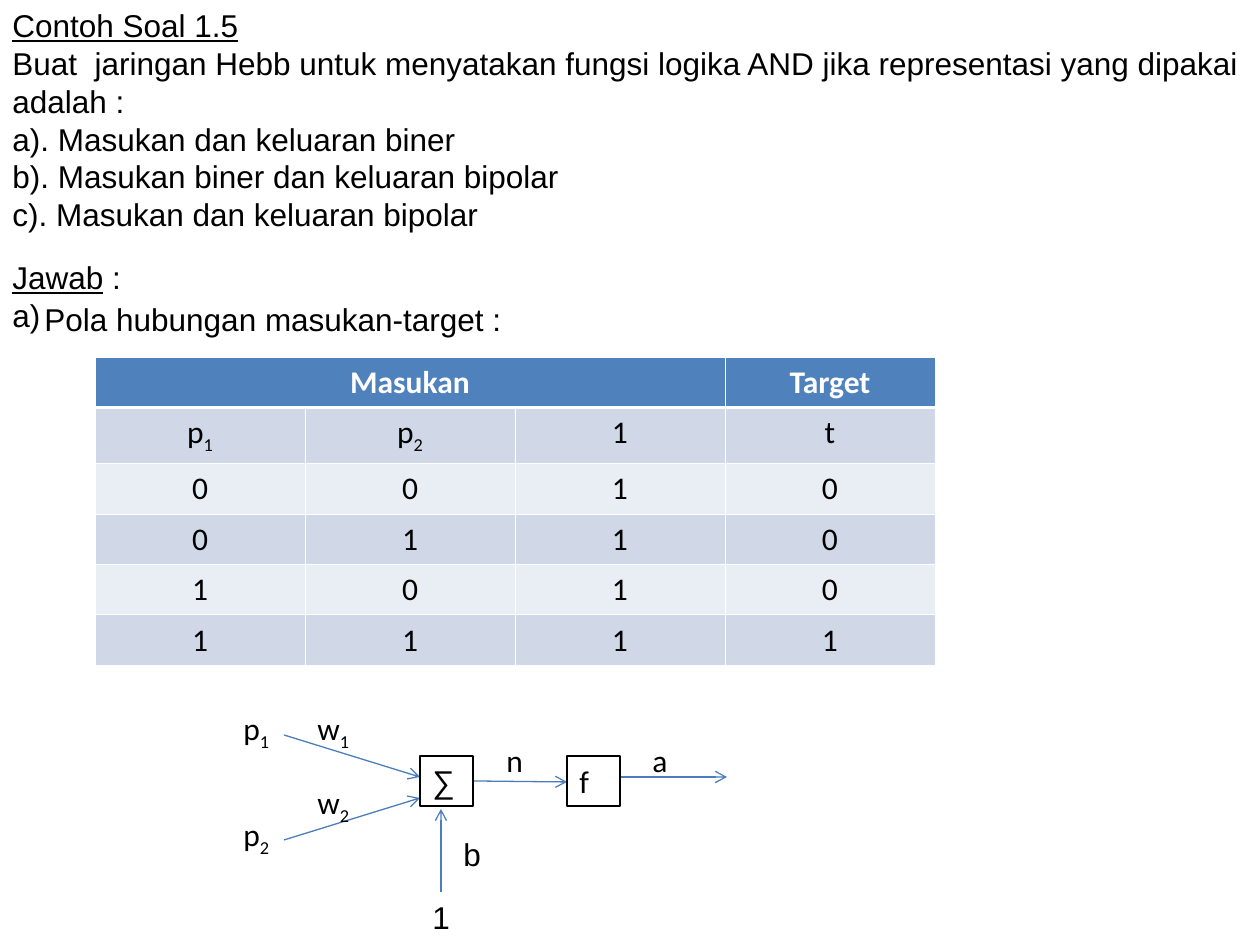
"""Build the Hebb network slide for the logical AND function."""
import pptx
import pptx.dml.color
import pptx.enum.shapes
import pptx.enum.text
import pptx.oxml
import pptx.oxml.ns
import pptx.util

PX = 914400 // 126
RGB = pptx.dml.color.RGBColor.from_string
THEME = {
    "ink": RGB("000000"),
    "white": RGB("FFFFFF"),
    "head": RGB("4F81BD"),
    "dark": RGB("D0D8E8"),
    "light": RGB("E9EDF4"),
    "arrow": RGB("4A7EBB"),
    "size": pptx.util.Pt(18),
    "line": pptx.util.Pt(0.75),
    "sans": "Arial",
    "net": "Calibri",
}
ALIGN = pptx.enum.text.PP_ALIGN
SHAPE = pptx.enum.shapes.MSO_SHAPE


def write(frame, lines, face, color=THEME["ink"], bold=False, align=ALIGN.LEFT):
    """Fill a frame; _ starts a subscript and a leading * underlines a run."""
    for num, line in enumerate(lines):
        para = frame.add_paragraph() if num else frame.paragraphs[0]
        para.alignment = align
        for part in line.split("|"):
            main, _, sub = part.partition("_")
            for text, base in ((main, None), (sub, "-25000")):
                if not text:
                    continue
                run = para.add_run()
                run.text = text.lstrip("*")
                form = {"name": face, "size": THEME["size"], "bold": bold,
                        "underline": text.startswith("*")}
                for key, value in form.items():
                    setattr(run.font, key, value)
                run.font.color.rgb = color
                if base:
                    run._r.get_or_add_rPr().set("baseline", base)


def place(home, area, lines, face, framed=False):
    """Add a text box, or a framed rectangle, at an area in px."""
    spot = [n * PX for n in area]
    if framed:
        box = home.add_shape(SHAPE.RECTANGLE, *spot)
        box.shadow.inherit = False
        box.fill.background()
        box.line.color.rgb = THEME["ink"]
        box.line.width = THEME["line"]
    else:
        box = home.add_textbox(*spot)
    form = {"word_wrap": True,
            "auto_size": pptx.enum.text.MSO_AUTO_SIZE.SHAPE_TO_FIT_TEXT,
            "vertical_anchor": pptx.enum.text.MSO_ANCHOR.TOP}
    for key, value in form.items():
        setattr(box.text_frame, key, value)
    write(box.text_frame, lines, face)


deck = pptx.Presentation()
deck.slide_width, deck.slide_height = 1260 * PX, 945 * PX
slide = deck.slides.add_slide(deck.slide_layouts[6])
shapes = slide.shapes

place(shapes, (0, 0, 1260, 239), [
    "*Contoh Soal 1.5",
    "Buat  jaringan Hebb untuk menyatakan fungsi logika AND jika representasi yang dipakai adalah :",
    "a). Masukan dan keluaran biner",
    "b). Masukan biner dan keluaran bipolar",
    "c). Masukan dan keluaran bipolar",
], THEME["sans"])
place(shapes, (0, 252, 892, 88), ["*Jawab| :", "a)"], THEME["sans"])

rows = [
    ["Masukan", "", "", "Target"],
    ["p_1", "p_2", "1", "t"],
    ["0", "0", "1", "0"],
    ["0", "1", "1", "0"],
    ["1", "0", "1", "0"],
    ["1", "1", "1", "1"],
]
table = shapes.add_table(6, 4, 95 * PX, 357 * PX, 840 * PX, 306 * PX).table
for col in table.columns:
    col.width = 210 * PX
for top, row in enumerate(rows):
    table.rows[top].height = (56 if top == 1 else 50) * PX
    shade = THEME["dark" if top % 2 else "light"] if top else THEME["head"]
    for left, text in enumerate(row):
        cell = table.cell(top, left)
        write(cell.text_frame, [text], THEME["net"],
              THEME["ink" if top else "white"], not top, ALIGN.CENTER)
        props = cell._tc.get_or_add_tcPr()
        for side in "LRTB":
            thick = (top, side) in ((0, "B"), (1, "T"))
            props.append(pptx.oxml.parse_xml(
                f'<a:ln{side} {pptx.oxml.ns.nsdecls("a")} w="{18669 if thick else 5715}">'
                f'<a:solidFill><a:srgbClr val="{THEME["white"]}"/></a:solidFill></a:ln{side}>'))
        cell.fill.solid()
        cell.fill.fore_color.rgb = shade
table.cell(0, 0).merge(table.cell(0, 2))

net = shapes.add_group_shape().shapes
arrows = [
    (net, 620, 777, 727, 777),
    (net, 284, 735, 420, 777),
    (net, 284, 840, 420, 798),
    (net, 473, 781, 567, 782),
    (shapes, 441, 892, 441, 809),
]
for home, *ends in arrows:
    link = home.add_connector(pptx.enum.shapes.MSO_CONNECTOR.STRAIGHT,
                              *[n * PX for n in ends])
    link.line.color.rgb = THEME["arrow"]
    link.line.width = THEME["line"]
    link.line._get_or_add_ln().append(pptx.oxml.parse_xml(
        f'<a:tailEnd {pptx.oxml.ns.nsdecls("a")} type="arrow"/>'))
    link._element.spPr.append(pptx.oxml.parse_xml(
        f'<a:effectLst {pptx.oxml.ns.nsdecls("a")}/>'))

place(net, (420, 756, 53, 50), ["∑"], THEME["sans"], True)
place(net, (567, 756, 53, 50), ["f"], THEME["net"], True)
labels = [("w_1", 305, 703), ("w_2", 305, 777), ("p_1", 231, 703),
          ("p_2", 231, 809), ("n", 494, 735), ("a", 640, 735)]
for text, left, top in labels:
    place(net, (left, top, 63, 55 if "_" in text else 50), [text], THEME["net"])

place(shapes, (420, 892, 53, 50), ["1"], THEME["sans"])
place(shapes, (451, 829, 53, 50), ["b"], THEME["sans"])
place(shapes, (32, 294, 514, 50), ["Pola hubungan masukan-target :"], THEME["sans"])

deck.save("out.pptx")
